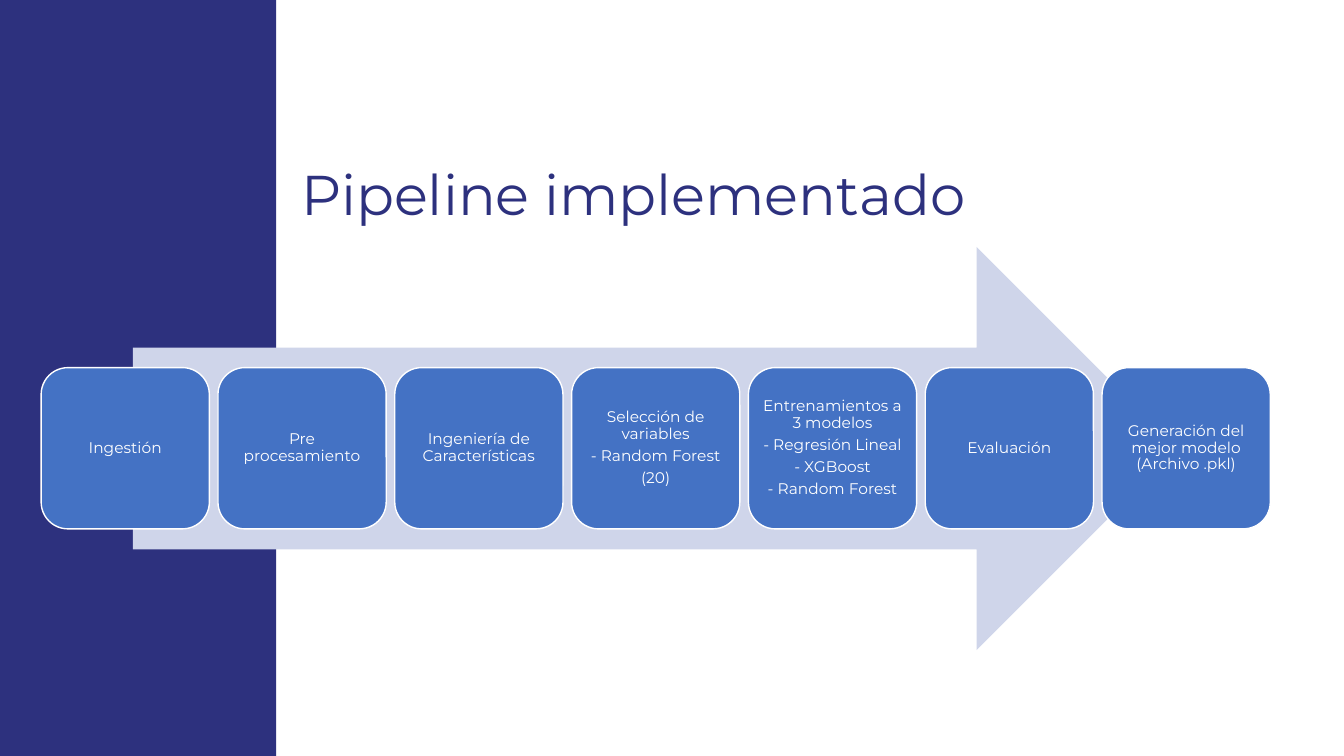
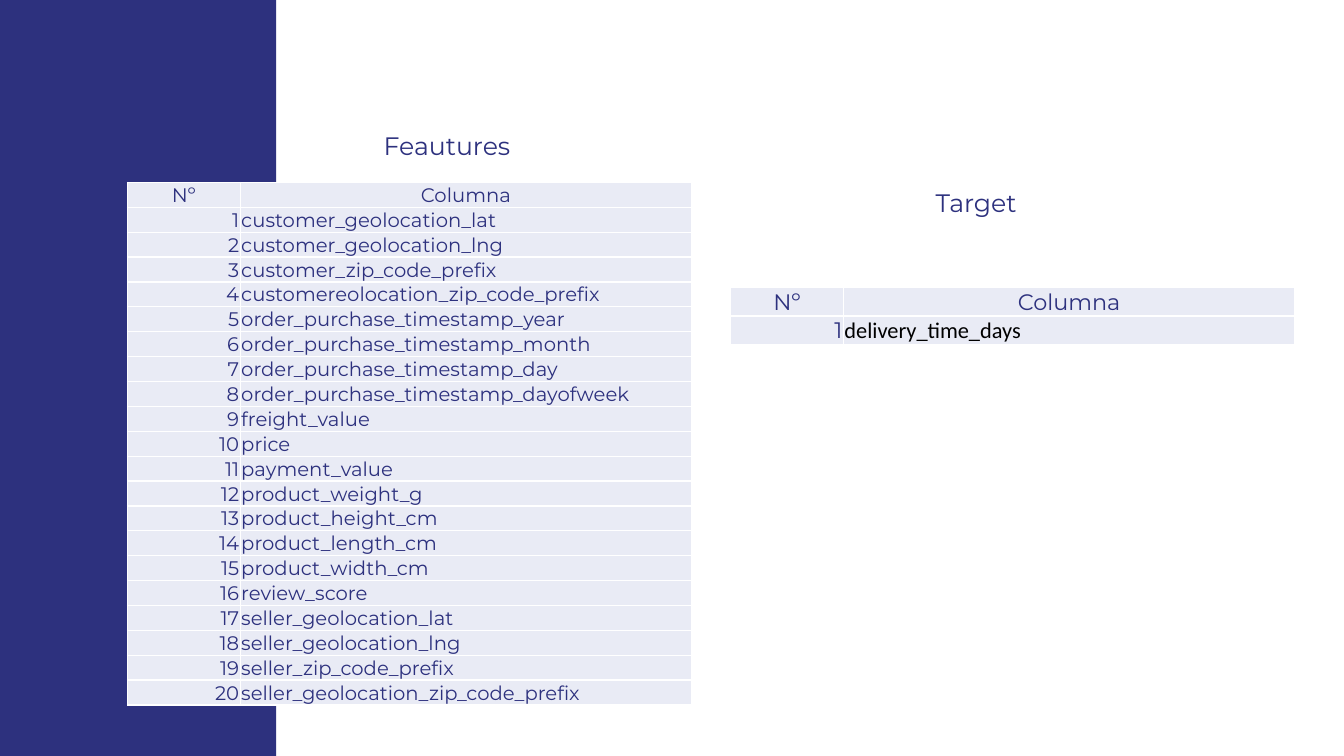
"""Build the pipeline and the feature/target slides."""
from lxml.etree import SubElement
from pptx import Presentation
from pptx.dml.color import RGBColor
from pptx.enum.shapes import MSO_SHAPE as Shape
from pptx.enum.text import MSO_ANCHOR as Anchor, PP_ALIGN as Align
from pptx.oxml.ns import qn
from pptx.util import Pt

NAVY, BLUE, ARROW, CELL = "2D317E", "4472C4", "CFD5EA", "E9EBF5"
WHITE, BLACK = "FFFFFF", "000000"
FONT = "Montserrat"
SLIDE_WIDTH, SLIDE_HEIGHT, BAND_WIDTH = 960, 540, 197.3

STEPS = [
    ["Ingestión"],
    ["Pre procesamiento"],
    ["Ingeniería de Características"],
    ["Selección de variables", "- Random Forest", "(20)"],
    ["Entrenamientos a 3 modelos", "- Regresión Lineal ", "- XGBoost", "- Random Forest"],
    ["Evaluación"],
    ["Generación del mejor modelo (Archivo .pkl)"],
]
STEP_LEFT, STEP_TOP, STEP_WIDTH, STEP_HEIGHT, STEP_PITCH = 29.4, 262.6, 120.2, 115.2, 126.3

HEADER = ("Nº", "Columna")
FEATURES = [
    "customer_geolocation_lat",
    "customer_geolocation_lng",
    "customer_zip_code_prefix",
    "customereolocation_zip_code_prefix",
    "order_purchase_timestamp_year",
    "order_purchase_timestamp_month",
    "order_purchase_timestamp_day",
    "order_purchase_timestamp_dayofweek",
    "freight_value",
    "price",
    "payment_value",
    "product_weight_g",
    "product_height_cm",
    "product_length_cm",
    "product_width_cm",
    "review_score",
    "seller_geolocation_lat",
    "seller_geolocation_lng",
    "seller_zip_code_prefix",
    "seller_geolocation_zip_code_prefix",
]
TARGET = ["delivery_time_days"]
COLUMN_WIDTHS = (80.6, 322.5)
CELL_MARGIN = 0.75


def color(value):
    """Turn a hex string into a colour."""
    return RGBColor.from_string(value)


def style(paragraph, size, ink=NAVY, font=FONT, align=Align.LEFT):
    """Format a paragraph and its runs."""
    paragraph.alignment = align
    for run in paragraph.runs:
        run.font.size = Pt(size)
        run.font.name = font
        run.font.color.rgb = color(ink)


def add_block(slide, kind, left, top, width, height, fill, line=None):
    """Add a filled preset shape."""
    shape = slide.shapes.add_shape(kind, Pt(left), Pt(top), Pt(width), Pt(height))
    shape.shadow.inherit = False
    shape.fill.solid()
    shape.fill.fore_color.rgb = color(fill)
    if line:
        shape.line.color.rgb = color(line)
        shape.line.width = Pt(1)
    else:
        shape.line.fill.background()
    return shape


def add_slide(presentation):
    """Add a blank slide with the navy side band."""
    slide = presentation.slides.add_slide(presentation.slide_layouts[6])
    add_block(slide, Shape.RECTANGLE, 0, 0, BAND_WIDTH, SLIDE_HEIGHT, NAVY)
    return slide


def add_label(slide, text, left, top, width, height, size, wrap=False):
    """Add a one-paragraph text box."""
    box = slide.shapes.add_textbox(Pt(left), Pt(top), Pt(width), Pt(height))
    box.text_frame.word_wrap = wrap
    box.text_frame.text = text
    paragraph = box.text_frame.paragraphs[0]
    style(paragraph, size)
    return paragraph


def add_step(slide, index, lines):
    """Add one rounded step of the pipeline."""
    left = STEP_LEFT + index * STEP_PITCH
    shape = add_block(slide, Shape.ROUNDED_RECTANGLE, left, STEP_TOP,
                      STEP_WIDTH, STEP_HEIGHT, BLUE, WHITE)
    frame = shape.text_frame
    frame.word_wrap = True
    frame.vertical_anchor = Anchor.MIDDLE
    frame.margin_left = frame.margin_right = frame.margin_top = frame.margin_bottom = Pt(3.6)
    frame.text = "\n".join(lines)
    for paragraph in frame.paragraphs:
        style(paragraph, 11, WHITE, align=Align.CENTER)
        paragraph.line_spacing = 0.9
        paragraph.space_after = Pt(3.85)


def add_borders(cell):
    """Draw white lines around a cell."""
    properties = cell._tc.get_or_add_tcPr()
    for side in ("a:lnL", "a:lnR", "a:lnT", "a:lnB"):
        line = SubElement(properties, qn(side), w=str(Pt(1)))
        SubElement(SubElement(line, qn("a:solidFill")), qn("a:srgbClr"), val=WHITE)


def add_columns_table(slide, names, left, top, row_height, size, name_ink=NAVY, name_font=FONT):
    """Add a numbered table of column names."""
    rows = [HEADER] + [(str(number), name) for number, name in enumerate(names, 1)]
    table = slide.shapes.add_table(len(rows), len(HEADER), Pt(left), Pt(top),
                                   Pt(sum(COLUMN_WIDTHS)), Pt(row_height * len(rows))).table
    table.first_row = table.horz_banding = False
    for column, width in zip(table.columns, COLUMN_WIDTHS):
        column.width = Pt(width)
    for row_index, values in enumerate(rows):
        table.rows[row_index].height = Pt(row_height)
        for column_index, value in enumerate(values):
            cell = table.cell(row_index, column_index)
            add_borders(cell)
            cell.fill.solid()
            cell.fill.fore_color.rgb = color(CELL)
            cell.vertical_anchor = Anchor.MIDDLE
            cell.margin_left = cell.margin_right = cell.margin_top = Pt(CELL_MARGIN)
            cell.margin_bottom = 0
            cell.text_frame.text = value
            paragraph = cell.text_frame.paragraphs[0]
            if row_index == 0:
                style(paragraph, size, align=Align.CENTER)
            elif column_index == 0:
                style(paragraph, size, align=Align.RIGHT)
            else:
                style(paragraph, size, name_ink, name_font)


def build_pipeline(presentation):
    """Build the pipeline slide."""
    slide = add_slide(presentation)
    title = add_label(slide, "Pipeline implementado", 208, 116, 714, 91.5, 40, wrap=True)
    title.line_spacing = 0.9
    title.space_before = Pt(10)
    add_block(slide, Shape.RIGHT_ARROW, 95, 176.4, 746.6, 288, ARROW)
    for index, lines in enumerate(STEPS):
        add_step(slide, index, lines)


def build_columns(presentation):
    """Build the features and target slide."""
    slide = add_slide(presentation)
    add_columns_table(slide, FEATURES, 91, 130.3, 17.8, 14)
    add_columns_table(slide, TARGET, 521.9, 205.5, 20.2, 16, BLACK, "Calibri")
    add_label(slide, "Feautures", 267, 89.7, 109.5, 29, 18)
    add_label(slide, "Target", 661.2, 130.3, 75.6, 29, 18)


def main():
    """Create and save the presentation."""
    presentation = Presentation()
    presentation.slide_width = Pt(SLIDE_WIDTH)
    presentation.slide_height = Pt(SLIDE_HEIGHT)
    build_pipeline(presentation)
    build_columns(presentation)
    presentation.save("out.pptx")


if __name__ == "__main__":
    main()
